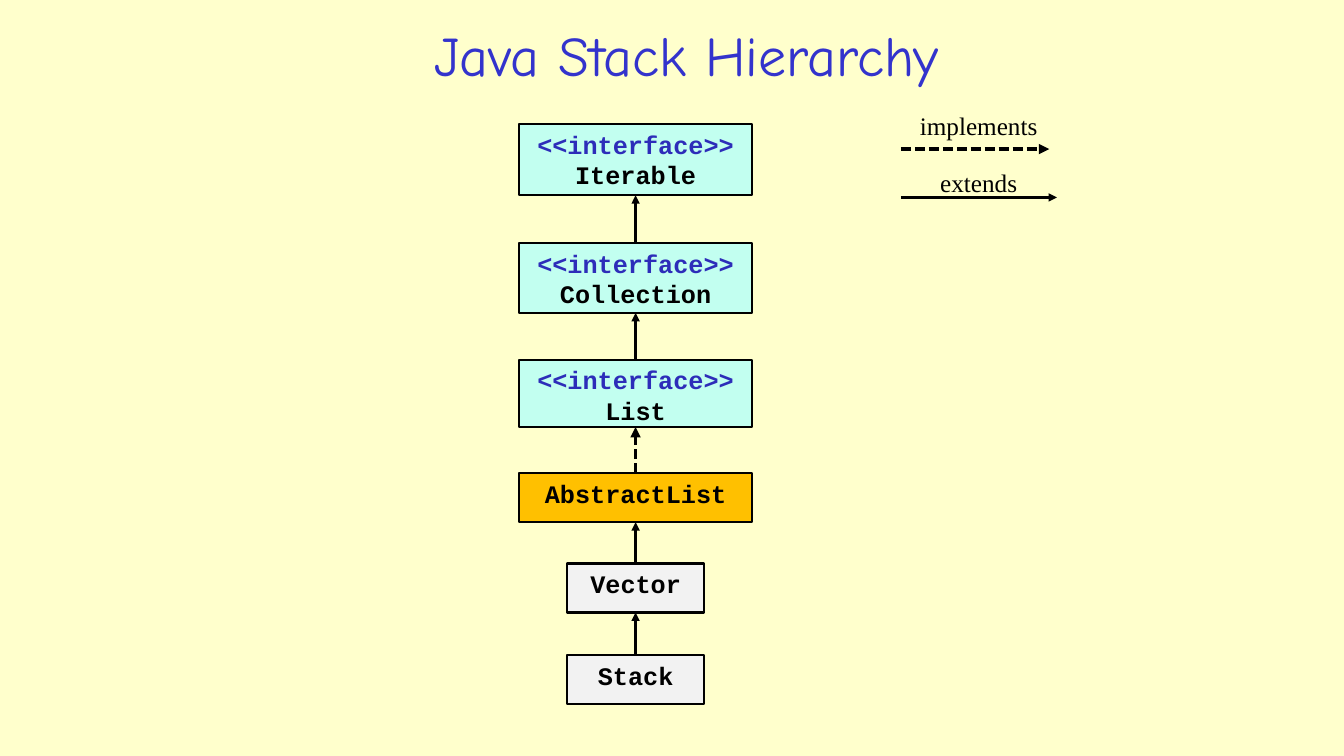
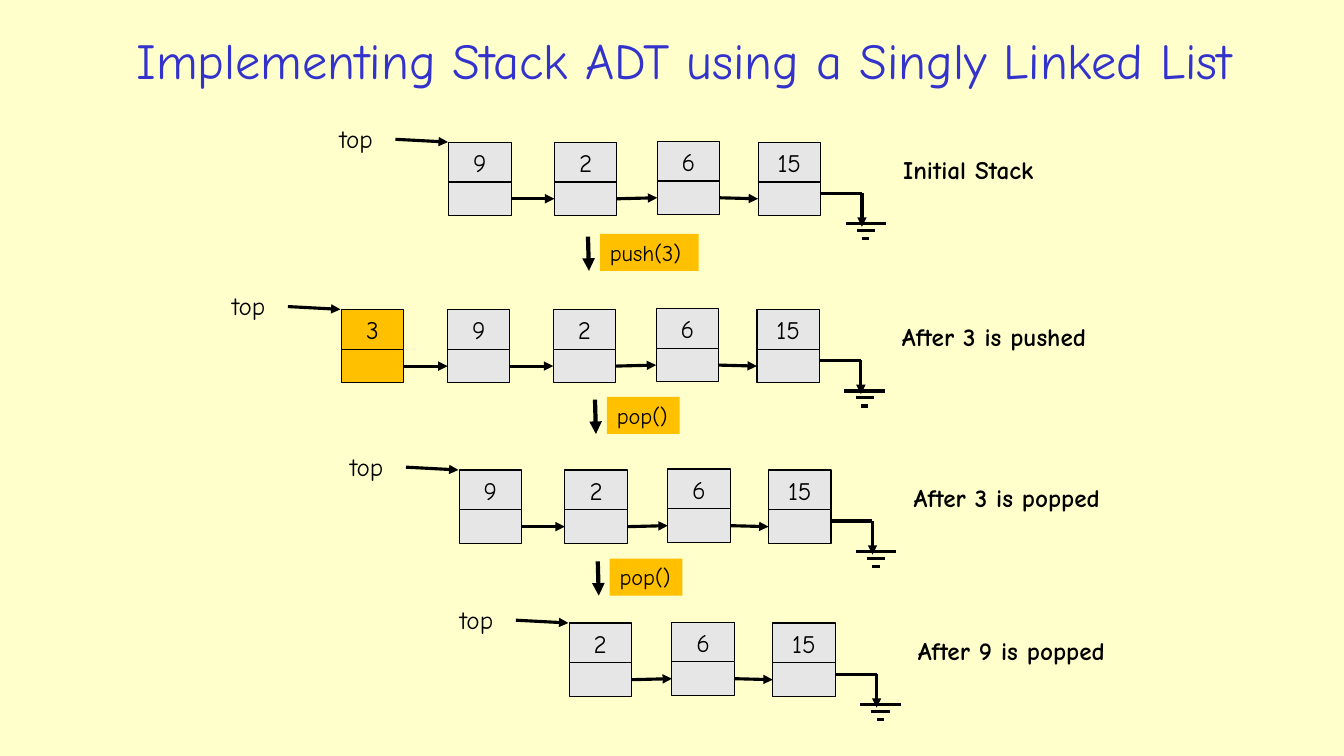
from lxml.etree import SubElement
from pptx import Presentation
from pptx.dml.color import RGBColor
from pptx.enum.dml import MSO_LINE
from pptx.enum.shapes import MSO_CONNECTOR, MSO_SHAPE
from pptx.enum.text import MSO_ANCHOR, MSO_AUTO_SIZE, PP_ALIGN
from pptx.oxml.ns import qn
from pptx.util import Pt

# Shared style
CREAM, BLUE, NAVY, BLACK = "FFFFCC", "3333CC", "2D2DB9", "000000"
MINT, AMBER, PALE, GREY = "C2FFF0", "FFC000", "F2F2F2", "E6E6E6"
HAND, CODE, SERIF = "Comic Neue", "Courier New", "Times New Roman"
TOP, LEFT, BOTTOM, RIGHT = range(4)

# Hierarchy: name, is interface, top, width, height, fill, link to the parent
CLASSES = [
    ("Iterable", True, 88.5, 166.5, 51, MINT, None),
    ("Collection", True, 173.5, 166.5, 50, MINT, "extends"),
    ("List", True, 257, 166.5, 48, MINT, "extends"),
    ("AbstractList", False, 338, 166, 35, AMBER, "implements"),
    ("Vector", False, 402.5, 98, 35, PALE, "extends"),
    ("Stack", False, 468, 98, 35, PALE, "extends"),
]
CLASS_CENTER = 454
LINKS = {"implements": (2.5, True), "extends": (2, False)}  # width, dashed
# Legend: link, label left, label top, line y, line end
LEGEND_LEFT = 643.5
LEGEND = [("implements", 650, 75.5, 106.5, 749.5), ("extends", 664.5, 116, 141, 755)]

# Linked lists: values, left and top of the last node, state
STACKS = [
    (["9", "2", "6", "15"], 541.5, 101.5, "Initial Stack"),
    (["3", "9", "2", "6", "15"], 540.7, 221, "After 3 is pushed"),
    (["9", "2", "6", "15"], 549, 335.7, "After 3 is popped"),
    (["2", "6", "15"], 552, 445, "After 9 is popped"),
]
PUSHED = "3"
# Node offsets from the last node
NODE_OFFSETS = {"15": (0, 0), "6": (-72, -0.7), "2": (-145.5, 0), "9": (-221, 0), "3": (-297, 0)}
NODE_WIDTH, VALUE_HEIGHT, POINTER_HEIGHT = 44.6, 28.5, 24
# Ground symbol bars, from the last node: left, right, y
GROUND_BARS = [(62.5, 91.3, 58.3), (70.5, 83.5, 63), (74.2, 79.5, 69)]
GROUND_X, GROUND_Y = 74.2, 36.5
# Operations: text, left, top, width
OPERATIONS = [("push(3)", 428.5, 167, 70.5), ("pop()", 433.5, 283.5, 52), ("pop()", 435.5, 399, 52)]


def color(code):
    return RGBColor.from_string(code)


def write(shape, lines, size, font, colors=(BLACK,), bold=False, align=PP_ALIGN.LEFT):
    """Set the lines of a shape, with one colour per line."""
    frame = shape.text_frame
    frame.text = "\n".join(lines)
    for para, code in zip(frame.paragraphs, colors):
        para.alignment = align
        for span in para.runs:
            span.font.size, span.font.name, span.font.bold = Pt(size), font, bold
            span.font.color.rgb = color(code)


def add_label(page, text, left, top, font=HAND, bold=False):
    # Room for the letters plus the side margins
    box = page.shapes.add_textbox(Pt(left), Pt(top), Pt(len(text) * 10 + 20), Pt(29))
    box.text_frame.word_wrap = False
    write(box, [text], 18, font, bold=bold)


def add_box(page, left, top, width, height, fill, border=None):
    box = page.shapes.add_shape(MSO_SHAPE.RECTANGLE, Pt(left), Pt(top), Pt(width), Pt(height))
    box.shadow.inherit = False
    box.fill.solid()
    box.fill.fore_color.rgb = color(fill)
    if border:
        box.line.color.rgb = color(BLACK)
        box.line.width = Pt(border)
    else:
        box.line.fill.background()
    box.text_frame.vertical_anchor = MSO_ANCHOR.TOP
    return box


def add_line(page, start=(0, 0), end=(0, 0), width=2.25, arrow=True, dashed=False):
    line = page.shapes.add_connector(MSO_CONNECTOR.STRAIGHT, *map(Pt, start + end))
    line.line.color.rgb = color(BLACK)
    line.line.width = Pt(width)
    if dashed:
        line.line.dash_style = MSO_LINE.SQUARE_DOT
    properties = line._element.spPr
    if arrow:
        SubElement(properties.find(qn("a:ln")), qn("a:tailEnd"), type="triangle")
    SubElement(properties, qn("a:effectLst"))
    return line


def join(page, source, source_side, target, target_side, **style):
    line = add_line(page, **style)
    line.begin_connect(source, source_side)
    line.end_connect(target, target_side)


def add_page(deck, text, size, left, top, width):
    page = deck.slides.add_slide(deck.slide_layouts[5])
    title = page.shapes.title
    title.left, title.top, title.width, title.height = map(Pt, (left, top, width, 55))
    write(title, [text], size, HAND, [BLUE], align=PP_ALIGN.CENTER)
    title.text_frame.vertical_anchor = MSO_ANCHOR.MIDDLE
    title.text_frame.auto_size = MSO_AUTO_SIZE.NONE
    return page


def add_hierarchy(page):
    parent = None
    for name, interface, top, width, height, fill, link in CLASSES:
        box = add_box(page, CLASS_CENTER - width / 2, top, width, height, fill, 1.5)
        lines, colors = [name], [BLACK]
        if interface:
            lines, colors = ["<<interface>>", name], [NAVY, BLACK]
        write(box, lines, 18, CODE, colors, True, PP_ALIGN.CENTER)
        if link:
            weight, dashed = LINKS[link]
            join(page, box, TOP, parent, BOTTOM, width=weight, dashed=dashed)
        parent = box


def add_legend(page):
    for link, left, top, y, end in LEGEND:
        weight, dashed = LINKS[link]
        add_line(page, (LEGEND_LEFT, y), (end, y), weight, dashed=dashed)
        add_label(page, link, left, top, SERIF)


def add_ground(page, left, top):
    x, y = left + GROUND_X, top + GROUND_Y
    add_line(page, (left + NODE_WIDTH, y), (x, y), arrow=False)
    add_line(page, (x, y), (x, top + 60.5))
    for start, end, drop in GROUND_BARS:
        add_line(page, (left + start, top + drop), (left + end, top + drop), arrow=False)


def add_linked_list(page, values, last_left, last_top, state):
    # Nodes, each a value over a pointer
    previous = None
    for value in values:
        dx, dy = NODE_OFFSETS[value]
        left, top = last_left + dx, last_top + dy
        fill = AMBER if value == PUSHED else GREY
        cell = add_box(page, left, top, NODE_WIDTH, VALUE_HEIGHT, fill, 0.75)
        write(cell, [value], 18, HAND, align=PP_ALIGN.CENTER)
        pointer = add_box(page, left, top + VALUE_HEIGHT, NODE_WIDTH, POINTER_HEIGHT, fill, 0.75)
        if previous is not None:
            join(page, previous, RIGHT, pointer, LEFT)
        previous = pointer
    add_ground(page, last_left, last_top)

    # Reference to the first node, and the state
    first = last_left + NODE_OFFSETS[values[0]][0]
    add_label(page, "top", first - 85, last_top - 17)
    add_line(page, (first - 38, last_top - 2), (first - 0.5, last_top))
    add_label(page, state, last_left + 96.5, last_top + 5, bold=True)


def add_operation(page, text, left, top, width):
    box = add_box(page, left, top, width, 26.5, AMBER)
    box.text_frame.word_wrap = False
    write(box, [text], 16, HAND)
    add_line(page, (left - 8.5, top + 2), (left - 7.8, top + 26.5), 3)


def main():
    deck = Presentation()
    deck.slide_width, deck.slide_height = Pt(960), Pt(540)
    background = deck.slide_master.background.fill
    background.solid()
    background.fore_color.rgb = color(CREAM)

    page = add_page(deck, "Java Stack Hierarchy", 40, 152.5, 11, 676)
    add_hierarchy(page)
    add_legend(page)

    page = add_page(deck, "Implementing Stack ADT using a Singly Linked List", 36, 47, 15, 883.5)
    for stack in STACKS:
        add_linked_list(page, *stack)
    for operation in OPERATIONS:
        add_operation(page, *operation)

    deck.save("out.pptx")


if __name__ == "__main__":
    main()
